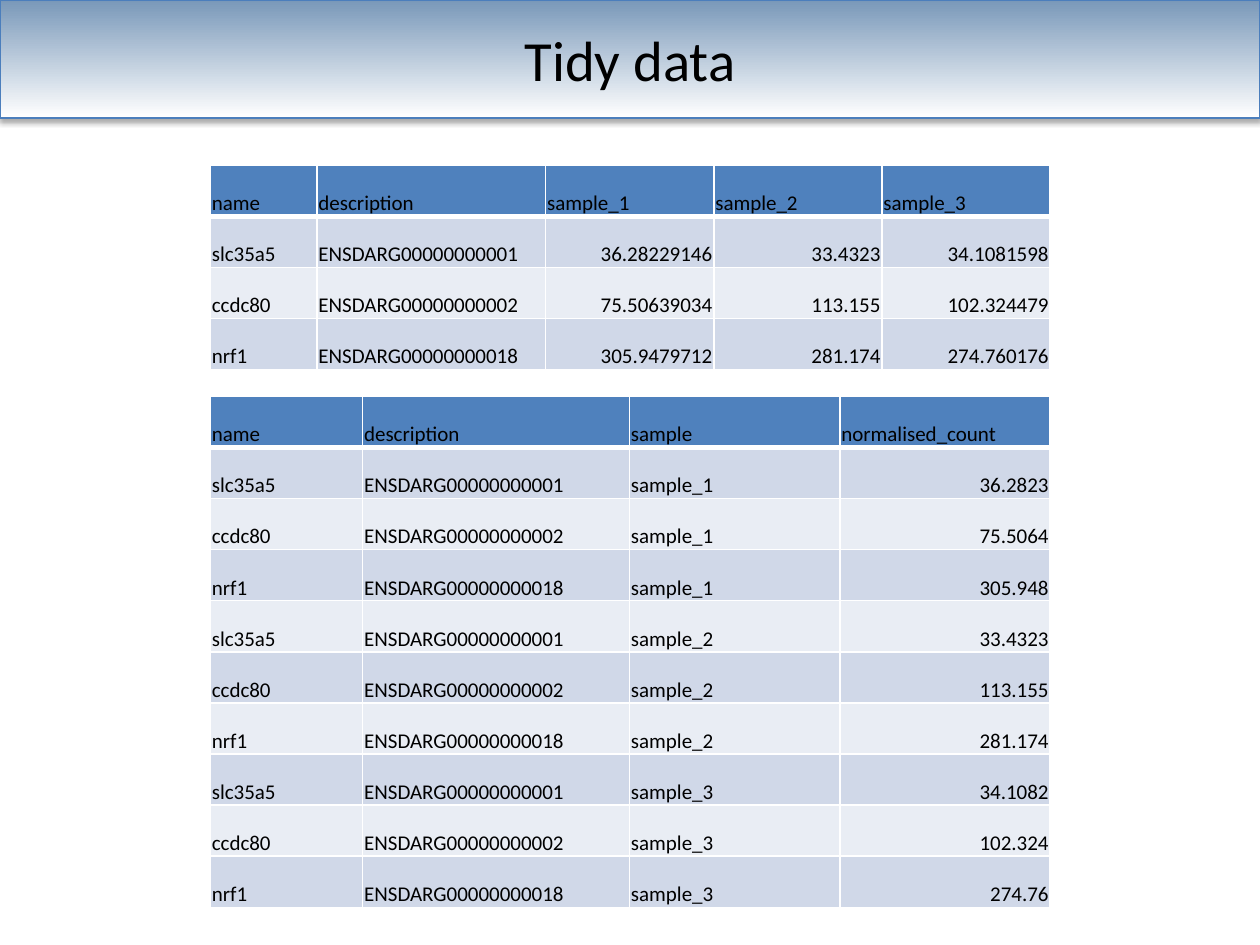
from dataclasses import dataclass

from lxml import etree
from pptx import Presentation
from pptx import util as u
from pptx.dml import color
from pptx.enum import shapes, text
from pptx.oxml import ns


@dataclass(frozen=True)
class Theme:
    font: str = "Calibri"
    title_size: float = 32.4
    cell_size: float = 12
    ink: str = "000000"
    banner_top: str = "7998B9"
    banner_line: str = "4B7EBC"
    header: str = "4F81BD"
    bands: tuple = ("D0D8E8", "E9EDF4")
    white: str = "FFFFFF"


def rgb(value):
    return color.RGBColor.from_string(value)


def add_element(parent, tag, **attributes):
    return etree.SubElement(parent, ns.qn(tag), attributes)


class SlideBuilder:
    """Holds the theme and the current page."""

    def __init__(self, page, theme):
        self.page = page
        self.theme = theme

    def style_text(self, para, size, alignment):
        para.alignment = alignment
        for span in para.runs:
            span.font.name = self.theme.font
            span.font.size = u.Pt(size)
            span.font.bold = False
            span.font.color.rgb = rgb(self.theme.ink)

    def banner(self, width, height):
        """Draw the gradient band behind everything else."""
        box = self.page.shapes.add_shape(
            shapes.MSO_SHAPE.RECTANGLE, 0, 0, u.Cm(width), u.Cm(height))
        box.fill.gradient()
        box.fill.gradient_angle = 270
        stop_colors = (self.theme.banner_top, self.theme.white)
        for stop, position, value in zip(box.fill.gradient_stops, (0, 1), stop_colors):
            stop.position = position
            stop.color.rgb = rgb(value)
        box.line.color.rgb = rgb(self.theme.banner_line)
        box.line.width = u.Pt(0.75)
        box.shadow.inherit = False
        effects = box.element.spPr.find(ns.qn("a:effectLst"))
        shadow = add_element(effects, "a:outerShdw", blurRad=str(u.Pt(3.1)),
                             dist=str(u.Pt(1.8)), dir="5400000", rotWithShape="0")
        shade = add_element(shadow, "a:srgbClr", val=self.theme.ink)
        add_element(shade, "a:alpha", val="35000")
        self.page.shapes.element.insert(2, box.element)

    def title(self, wording, left, top, width, height):
        box = self.page.shapes.title
        box.left, box.top, box.width, box.height = map(u.Cm, (left, top, width, height))
        frame = box.text_frame
        frame.text = wording
        frame.vertical_anchor = text.MSO_ANCHOR.MIDDLE
        self.style_text(frame.paragraphs[0], self.theme.title_size, text.PP_ALIGN.CENTER)

    def borders(self, cell, bottom):
        properties = cell._tc.get_or_add_tcPr()
        for side, width in (("L", 1), ("R", 1), ("T", 1), ("B", bottom)):
            line = add_element(properties, f"a:ln{side}", w=str(u.Pt(width)))
            fill = add_element(line, "a:solidFill")
            add_element(fill, "a:srgbClr", val=self.theme.white)

    def cell(self, cell, wording, fill, alignment, bottom):
        cell.text = wording
        cell.vertical_anchor = text.MSO_ANCHOR.BOTTOM
        cell.margin_left = cell.margin_right = cell.margin_top = u.Cm(0.03)
        cell.margin_bottom = 0
        self.borders(cell, bottom)
        cell.fill.solid()
        cell.fill.fore_color.rgb = rgb(fill)
        self.style_text(cell.text_frame.paragraphs[0], self.theme.cell_size, alignment)

    def table(self, rows, left, top, widths, row_height, first_number):
        """Add a banded table; body columns from first_number on align right."""
        table = self.page.shapes.add_table(
            len(rows), len(widths), u.Cm(left), u.Cm(top),
            u.Cm(sum(widths)), u.Cm(row_height * len(rows))).table
        for column, width in zip(table.columns, widths):
            column.width = u.Cm(width)
        for r, row in enumerate(rows):
            table.rows[r].height = u.Cm(row_height)
            is_header = r == 0
            fill = self.theme.header if is_header else self.theme.bands[(r - 1) % 2]
            for c, wording in enumerate(row):
                is_number = not is_header and c >= first_number
                alignment = text.PP_ALIGN.RIGHT if is_number else text.PP_ALIGN.LEFT
                self.cell(table.cell(r, c), wording, fill, alignment,
                          bottom=3 if is_header else 1)


WIDE_ROWS = [
    ("name", "description", "sample_1", "sample_2", "sample_3"),
    ("slc35a5", "ENSDARG00000000001", "36.28229146", "33.4323", "34.1081598"),
    ("ccdc80", "ENSDARG00000000002", "75.50639034", "113.155", "102.324479"),
    ("nrf1", "ENSDARG00000000018", "305.9479712", "281.174", "274.760176"),
]


def tidy(rows):
    """Turn sample columns into rows, with counts to six significant digits."""
    header, *genes = rows
    long_rows = [(*header[:2], "sample", "normalised_count")]
    for column, sample in enumerate(header[2:], start=2):
        for gene in genes:
            long_rows.append((*gene[:2], sample, f"{float(gene[column]):.6g}"))
    return long_rows


def main():
    deck = Presentation()
    deck.slide_width, deck.slide_height = u.Cm(25.4), u.Cm(19.05)
    page = deck.slides.add_slide(deck.slide_layouts[5])
    builder = SlideBuilder(page, Theme())
    builder.banner(25.4, 2.38)
    builder.title("Tidy data", 1.27, 0.38, 22.86, 1.6)
    builder.table(WIDE_ROWS, 4.24, 3.33, (2.15, 4.61, 3.39, 3.39, 3.39), 1.03,
                  first_number=2)
    builder.table(tidy(WIDE_ROWS), 4.24, 7.99, (3.07, 5.38, 4.24, 4.24), 1.03,
                  first_number=3)
    deck.save("out.pptx")


if __name__ == "__main__":
    main()
